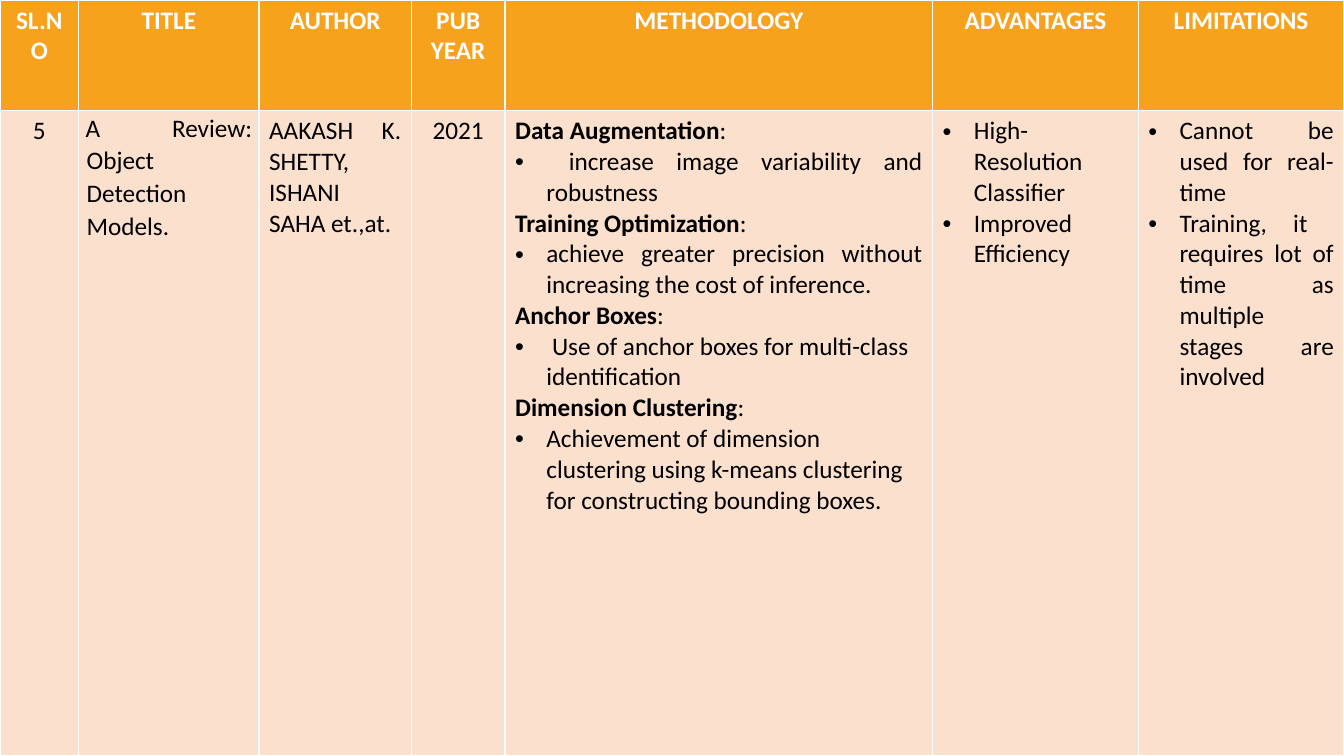
"""Builds a literature survey slide: one table of a reviewed paper."""
from dataclasses import dataclass

from lxml import etree
from pptx import Presentation
from pptx.dml.color import RGBColor
from pptx.enum import text as txt
from pptx.oxml import ns
from pptx.util import Inches, Pt

CENTER, JUSTIFY, LEFT = txt.PP_ALIGN.CENTER, txt.PP_ALIGN.JUSTIFY, txt.PP_ALIGN.LEFT
ORANGE, PEACH, WHITE, BLACK, GREY = "F6A21D", "FBE0CD", "FFFFFF", "000000", "F2F2F2"


@dataclass
class Line:
    text: str
    align: txt.PP_ALIGN = JUSTIFY
    heading: str = ""
    bullet: bool = False


@dataclass
class Column:
    header: str
    width: float
    lines: list[Line]


COLUMNS = [
    Column("SL.NO", 0.78, [Line("5", CENTER)]),
    Column("TITLE", 1.79, [Line("A Review: Object Detection Models.")]),
    Column("AUTHOR", 1.51, [Line("AAKASH K. SHETTY, ISHANI SAHA et.,at.")]),
    Column("PUB YEAR", 0.93, [Line("2021", CENTER)]),
    Column("METHODOLOGY", 4.24, [
        Line(": ", heading="Data Augmentation"),
        Line(" increase image variability and robustness", bullet=True),
        Line(": ", heading="Training Optimization"),
        Line("achieve greater precision without increasing the cost of inference.", bullet=True),
        Line(":", LEFT, heading="Anchor Boxes"),
        Line(" Use of anchor boxes for multi-class identification", LEFT, bullet=True),
        Line(":", LEFT, heading="Dimension Clustering"),
        Line("Achievement of dimension clustering using k-means clustering "
             "for constructing bounding boxes.", LEFT, bullet=True),
    ]),
    Column("ADVANTAGES", 2.04, [
        Line("High-Resolution Classifier", bullet=True),
        Line("Improved Efficiency", bullet=True),
    ]),
    Column("LIMITATIONS", 2.04, [
        Line("Cannot be used for real-time ", bullet=True),
        Line("Training, it  requires lot of time as multiple stages are involved", bullet=True),
    ]),
]


def paint(fill, color: str) -> None:
    fill.solid()
    fill.fore_color.rgb = RGBColor.from_string(color)


def add_text(paragraph, text: str, *, color: str = BLACK, bold: bool = False) -> None:
    run = paragraph.add_run()
    run.text = text
    run.font.name = "Calibri"
    run.font.size = Pt(18)
    run.font.bold = bold
    run.font.color.rgb = RGBColor.from_string(color)


def indent(paragraph, left: float, bullet: bool = False) -> None:
    properties = paragraph._p.get_or_add_pPr()
    properties.set("marL", str(Inches(left)))
    properties.set("indent", str(-Inches(left)))
    if bullet:
        etree.SubElement(properties, ns.qn("a:buFont")).set("typeface", "Arial")
        etree.SubElement(properties, ns.qn("a:buChar")).set("char", "•")


def fill_cell(cell, lines: list[Line], background: str, color: str, bold: bool) -> None:
    paint(cell.fill, background)
    for number, line in enumerate(lines):
        frame = cell.text_frame
        paragraph = frame.add_paragraph() if number else frame.paragraphs[0]
        paragraph.alignment = line.align
        if line.bullet:
            indent(paragraph, 0.31, bullet=True)
        if line.heading:
            add_text(paragraph, line.heading, color=color, bold=True)
        add_text(paragraph, line.text, color=color, bold=bold)


def style_title(cell) -> None:
    cell.margin_left = cell.margin_right = Inches(0.07)
    cell.margin_top = cell.margin_bottom = 0
    paragraph = cell.text_frame.paragraphs[0]
    indent(paragraph, 0.01)
    paragraph.line_spacing = 1.07
    paragraph.space_after = Pt(0.8)


def main() -> None:
    deck = Presentation()
    deck.slide_width, deck.slide_height = Inches(13.33), Inches(7.5)
    slide = deck.slides.add_slide(deck.slide_layouts[6])
    paint(slide.background.fill, GREY)
    survey = slide.shapes.add_table(
        2, len(COLUMNS), 0, 0, deck.slide_width, deck.slide_height).table
    survey.horz_banding = False
    for row, height in zip(survey.rows, (1.1, 6.4)):
        row.height = Inches(height)
    for index, column in enumerate(COLUMNS):
        survey.columns[index].width = Inches(column.width)
        fill_cell(survey.cell(0, index), [Line(column.header, CENTER)], ORANGE, WHITE, True)
        fill_cell(survey.cell(1, index), column.lines, PEACH, BLACK, False)
    style_title(survey.cell(1, 1))
    deck.save("out.pptx")


if __name__ == "__main__":
    main()
